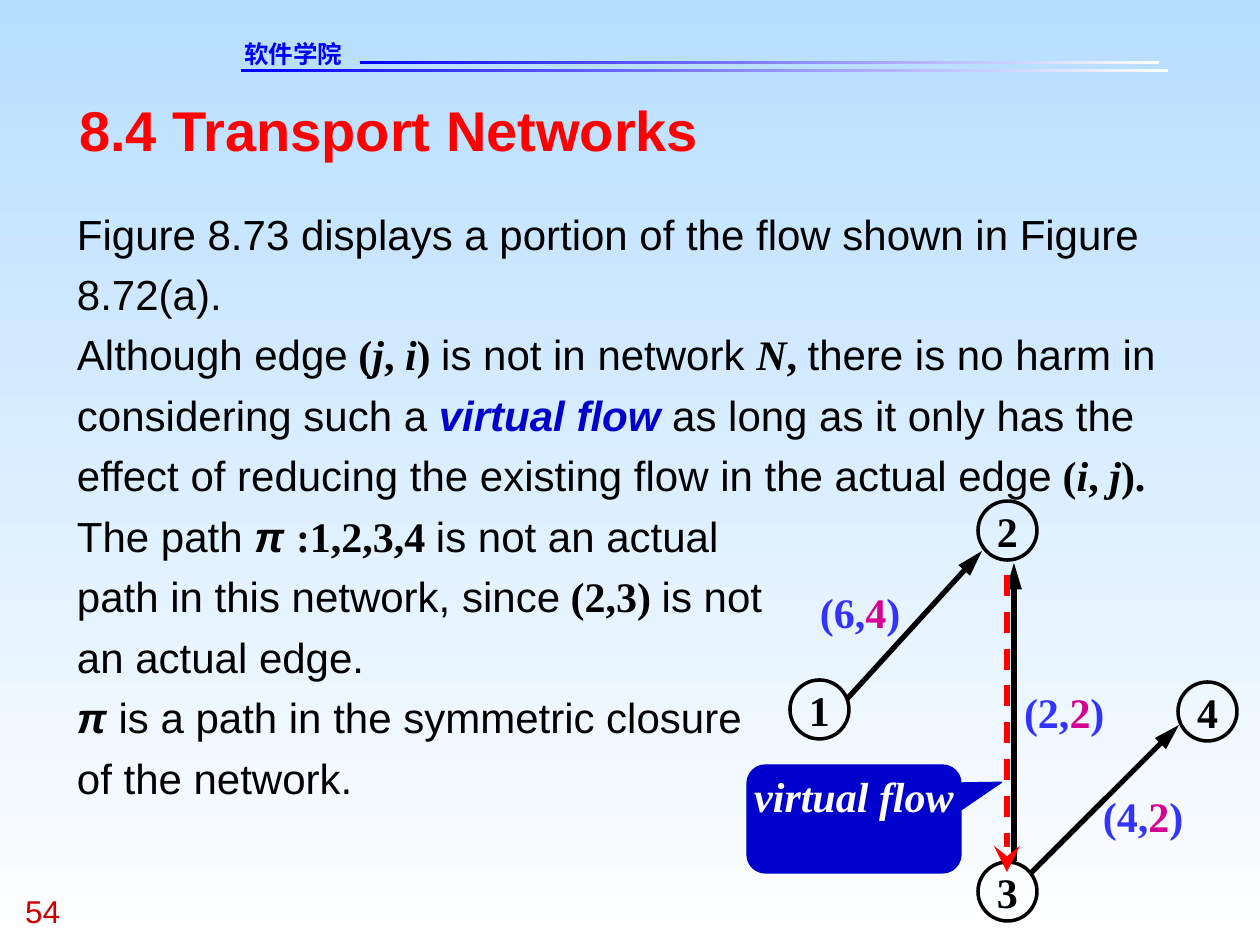
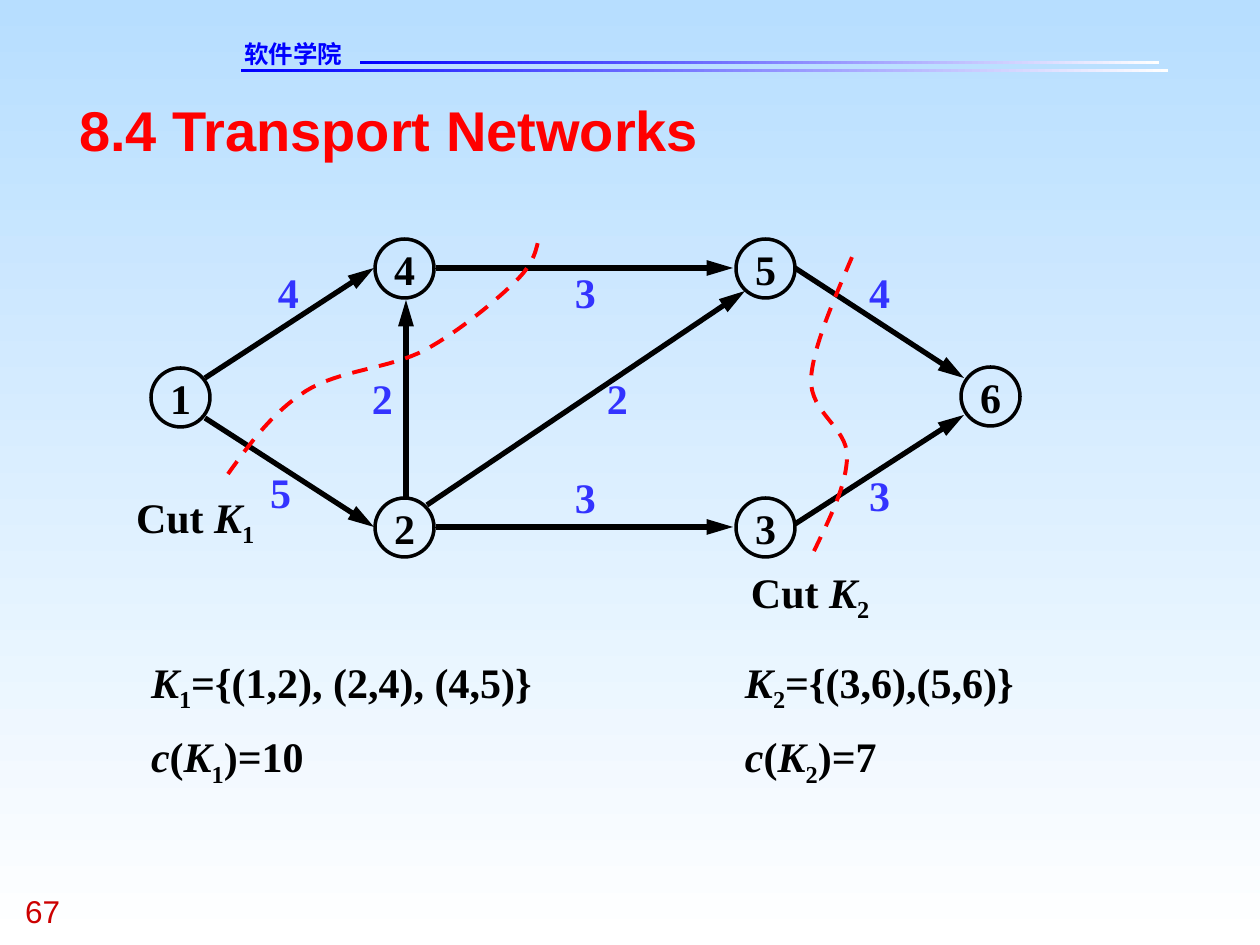
"""Builds two slides on transport networks: a virtual flow and two cuts."""
from lxml import etree
from pptx import Presentation
from pptx import util as u
from pptx.dml.color import RGBColor
from pptx.enum import dml, shapes, text
from pptx.oxml.ns import qn

PX = u.Inches(1) / 126
NODE = 59


class Theme:
    """Colours, fonts and type sizes of the deck."""
    sky, white, black = "B7DEFF", "FFFFFF", "000000"
    blue, navy, violet, magenta = "0000FF", "0000CC", "3333FF", "D60093"
    red, page_red = "FF0000", "CC0000"
    sans, serif = "Arial", "Times New Roman"
    title = {"name": sans, "size": u.Pt(32), "bold": True, "color": red}
    school = {"name": "DejaVu Sans", "size": u.Pt(14), "bold": True, "color": blue}
    page = {"name": sans, "size": u.Pt(18), "color": page_red}
    body = {"name": sans, "size": u.Pt(24), "color": black}
    term = body | {"bold": True, "italic": True}
    math = body | {"name": serif, "bold": True}
    var = math | {"italic": True}
    sub = math | {"baseline": "-25000"}
    capacity = math | {"color": violet}
    flow = math | {"color": magenta}
    callout = var | {"color": white}


def px(*lengths):
    """Turn px lengths into EMU."""
    return [u.Emu(round(n * PX)) for n in lengths]


def rgb(color):
    """Make a colour from its hex string."""
    return RGBColor.from_string(color)


def shade(fill, start, end, angle):
    """Apply a two-stop linear gradient."""
    fill.gradient()
    fill.gradient_angle = angle
    for stop, color in zip(fill.gradient_stops, (start, end)):
        stop.color.rgb = rgb(color)


def format_run(r, fmt):
    """Set the format values of one run."""
    for key, value in fmt.items():
        if key == "color":
            r.font.color.rgb = rgb(value)
        elif key == "baseline":
            r._r.get_or_add_rPr().set(key, value)
        else:
            setattr(r.font, key, value)


def write(sp, paragraphs, wrap=True, align=text.PP_ALIGN.LEFT,
          anchor=text.MSO_ANCHOR.TOP, spacing=1.0):
    """Fill a shape with paragraphs of (wording, format) runs."""
    tf = sp.text_frame
    frame = {"margin_left": 0, "margin_top": 0, "margin_right": 0, "margin_bottom": 0,
             "auto_size": text.MSO_AUTO_SIZE.NONE, "word_wrap": wrap,
             "vertical_anchor": anchor}
    for key, value in frame.items():
        setattr(tf, key, value)
    for i, runs in enumerate(paragraphs):
        p = tf.add_paragraph() if i else tf.paragraphs[0]
        p.alignment, p.line_spacing = align, spacing
        for wording, fmt in runs:
            for j, line in enumerate(wording.split("\n")):
                if j:
                    p.add_line_break()
                r = p.add_run()
                r.text = line
                format_run(r, fmt)


def add_text(s, box, paragraphs, **layout):
    """Add a text box."""
    write(s.shapes.add_textbox(*px(*box)), paragraphs, **layout)


def add_bar(s, box):
    """Add a header rule that fades from blue to white."""
    sp = s.shapes.add_shape(shapes.MSO_SHAPE.RECTANGLE, *px(*box))
    sp.shadow.inherit = False
    sp.line.fill.background()
    shade(sp.fill, Theme.blue, Theme.white, 0)


def add_slide(prs, number):
    """Add a slide with the header, the title and the page number."""
    s = prs.slides.add_slide(prs.slide_layouts[5])
    add_bar(s, (241, 69, 927, 3))
    add_bar(s, (360, 61, 799, 3))
    add_text(s, (244, 39, 183, 29), [[("软件学院", Theme.school)]])
    add_text(s, (25, 892, 95, 38), [[(str(number), Theme.page)]])
    title = s.shapes.title
    title.left, title.top, title.width, title.height = px(79, 95, 1102, 67)
    write(title, [[("8.4 Transport Networks", Theme.title)]])
    return s


def add_node(s, name, left, top):
    """Add a numbered circle."""
    sp = s.shapes.add_shape(shapes.MSO_SHAPE.OVAL, *px(left, top, NODE, NODE))
    sp.shadow.inherit = False
    sp.fill.background()
    sp.line.color.rgb, sp.line.width = rgb(Theme.black), u.Pt(2)
    write(sp, [[(name, Theme.math)]], wrap=False, align=text.PP_ALIGN.CENTER,
          anchor=text.MSO_ANCHOR.MIDDLE)


def add_arrow(s, ends, color=Theme.black, head="triangle", head_width="med", dash=None):
    """Add an arrow from the first point to the second."""
    line = s.shapes.add_connector(shapes.MSO_CONNECTOR.STRAIGHT, *px(*ends))
    line.line.color.rgb, line.line.width = rgb(color), u.Pt(3)
    if dash:
        line.line.dash_style = dash
    etree.SubElement(line.line._get_or_add_ln(), qn("a:tailEnd"),
                     type=head, w=head_width, len="lg")
    etree.SubElement(line._element.spPr, qn("a:effectLst"))


def add_edge_label(s, left, top, runs, width=21):
    """Add the unwrapped label of an edge."""
    add_text(s, (left, top, width, 50), [runs], wrap=False)


def bezier(a, b, c, d, steps=16):
    """List points along a cubic curve, without its start."""
    points = []
    for i in range(1, steps + 1):
        t = i / steps
        weights = ((1 - t) ** 3, 3 * t * (1 - t) ** 2, 3 * t ** 2 * (1 - t), t ** 3)
        points.append([sum(w * q[axis] for w, q in zip(weights, (a, b, c, d)))
                       for axis in (0, 1)])
    return points


def add_cut(s, knots):
    """Add a dashed curve given by a start and three points per segment."""
    builder = s.shapes.build_freeform(*px(*knots[0]))
    for i in range(0, len(knots) - 1, 3):
        builder.add_line_segments([px(*q) for q in bezier(*knots[i:i + 4])], close=False)
    sp = builder.convert_to_shape()
    sp.shadow.inherit = False
    sp.fill.background()
    sp.line.color.rgb, sp.line.width = rgb(Theme.red), u.Pt(2.25)
    sp.line.dash_style = dml.MSO_LINE.DASH


def add_callout(s, box, wording):
    """Add the filled speech callout."""
    sp = s.shapes.add_shape(shapes.MSO_SHAPE.ROUNDED_RECTANGULAR_CALLOUT, *px(*box))
    sp.shadow.inherit = False
    for i, value in enumerate((0.69, -0.34, 0.17)):
        sp.adjustments[i] = value
    sp.fill.solid()
    sp.fill.fore_color.rgb = sp.line.color.rgb = rgb(Theme.navy)
    sp.line.width = u.Pt(0.75)
    write(sp, [[(wording, Theme.callout)]], align=text.PP_ALIGN.CENTER)


def pair(first, second):
    """Make the runs of an edge tuple such as (j, i)."""
    return [(" (", Theme.math), (first, Theme.var), (", ", Theme.math), (second, Theme.var)]


def build_virtual_flow(prs):
    """Build the slide on the virtual flow."""
    s = add_slide(prs, 54)
    body, term, math = Theme.body, Theme.term, Theme.math
    add_text(s, (77, 198, 1113, 605), [
        [("Figure 8.73 displays a portion of the flow shown in Figure 8.72(a).", body)],
        [("Although edge", body), *pair("j", "i"), (") ", math),
         ("is not in network ", body), ("N", Theme.var), (", ", math),
         ("there is no harm in considering such a ", body),
         ("virtual flow ", term | {"color": Theme.navy}),
         ("as long as it only has the effect of reducing the existing flow"
          " in the actual edge", body), *pair("i", "j"), (").", math)],
        [("The path ", body), ("π ", term), (":1,2,3,4 ", math),
         ("is not an actual\npath in this network, since", body), (" (2,3) ", math),
         ("is not\nan actual edge.", body)],
        [("π ", term), ("is a path in the symmetric closure\nof the network.", body)],
    ], spacing=1.2)
    add_callout(s, (747, 765, 214, 108), "virtual flow")
    for ends in ((1014, 861, 1014, 563), (1031, 873, 1179, 725), (847, 699, 982, 551)):
        add_arrow(s, ends)
    for left, top, capacity, flow in ((820, 587, 6, 4), (1024, 687, 2, 2), (1103, 791, 4, 2)):
        add_edge_label(s, left, top, [(f"({capacity},", Theme.capacity),
                                      (str(flow), Theme.flow), (")", Theme.capacity)], 81)
    for node in (("1", 790, 680), ("2", 978, 501), ("3", 978, 862), ("4", 1178, 682)):
        add_node(s, *node)
    add_arrow(s, (1007, 575, 1007, 872), Theme.red, "stealth", "lg", dml.MSO_LINE.DASH)


def build_cuts(prs):
    """Build the slide on the cuts K1 and K2."""
    s = add_slide(prs, 67)
    for node in (("4", 375, 239), ("5", 736, 239), ("1", 151, 368),
                 ("2", 375, 498), ("3", 736, 498), ("6", 961, 367)):
        add_node(s, *node)
    for ends in ((436, 268, 733, 268), (406, 498, 406, 300), (795, 524, 964, 415),
                 (436, 527, 733, 527), (795, 268, 964, 378), (427, 505, 745, 291),
                 (205, 378, 374, 268), (205, 418, 374, 527)):
        add_arrow(s, ends)
    for capacity, left, top in (("4", 278, 267), ("5", 270, 467), ("2", 372, 373),
                                ("2", 607, 373), ("4", 869, 267), ("3", 869, 470),
                                ("3", 575, 267), ("3", 575, 472)):
        add_edge_label(s, left, top, [(capacity, Theme.capacity)])
    add_cut(s, [(228, 474), (251, 442), (273, 412), (306, 391), (339, 370), (389, 369),
                (425, 350), (460, 331), (498, 299), (517, 280), (536, 261), (536, 247),
                (539, 239)])
    add_cut(s, [(814, 551), (830, 518), (847, 484), (847, 456), (847, 427), (810, 413),
                (811, 379), (813, 347), (833, 302), (852, 257)])
    math, var = Theme.math, Theme.var
    for index, label_at, sums_box, edges, total in (
            ("1", (136, 491), (151, 639, 383, 149), "(1,2), (2,4), (4,5)", 10),
            ("2", (751, 566), (745, 639, 271, 149), "(3,6),(5,6)", 7)):
        cut = [("K", var), (index, Theme.sub)]
        add_text(s, (*label_at, 120, 58), [[("Cut ", math), *cut]])
        add_text(s, sums_box, [
            [*cut, (f"={{{edges}}}", math)],
            [("c", var), ("(", math), *cut, (f")={total}", math)],
        ], spacing=1.3)


def main():
    """Build and save the deck."""
    prs = Presentation()
    prs.slide_width, prs.slide_height = px(1260, 945)
    shade(prs.slide_master.background.fill, Theme.sky, Theme.white, 270)
    build_virtual_flow(prs)
    build_cuts(prs)
    prs.save("out.pptx")


if __name__ == "__main__":
    main()
